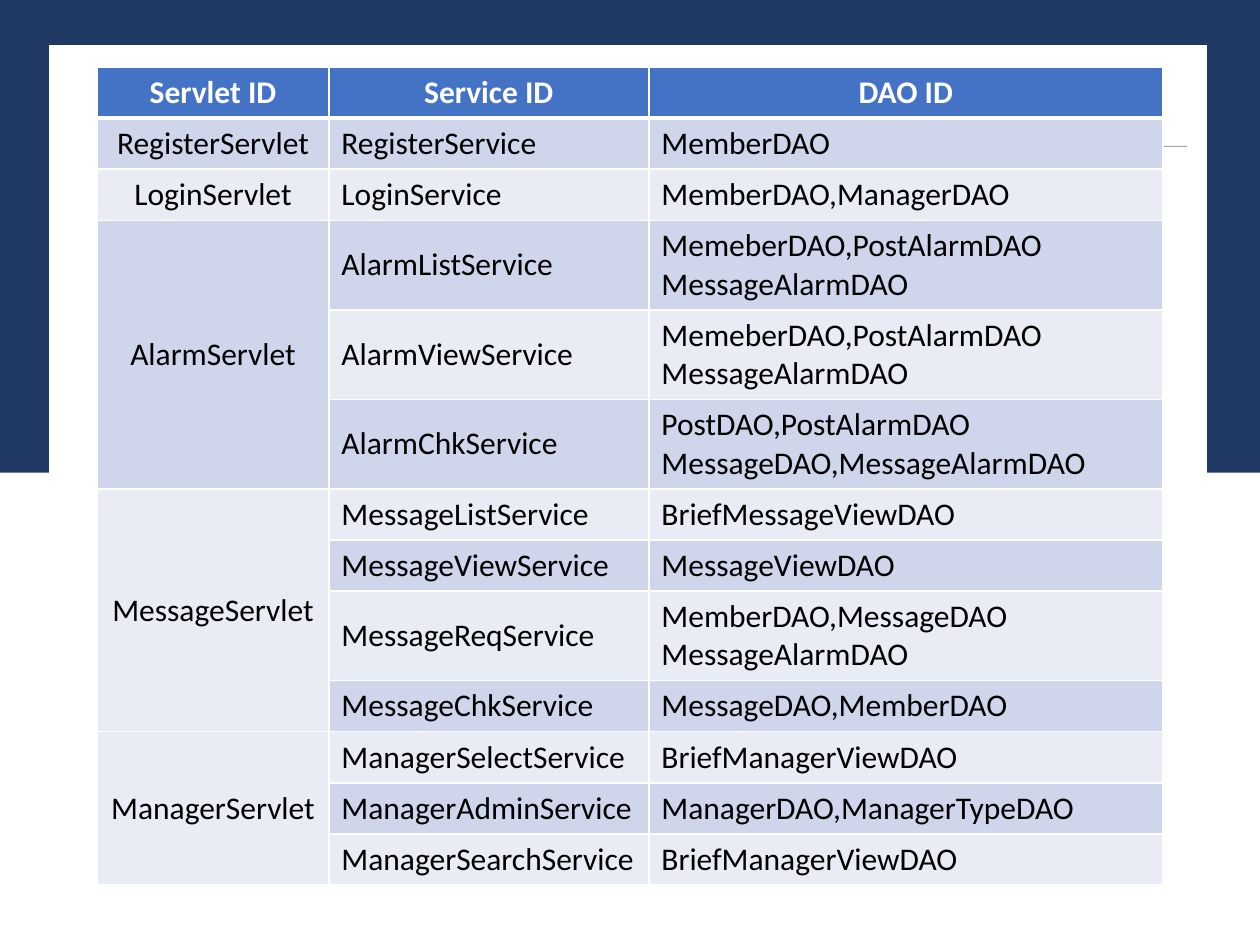
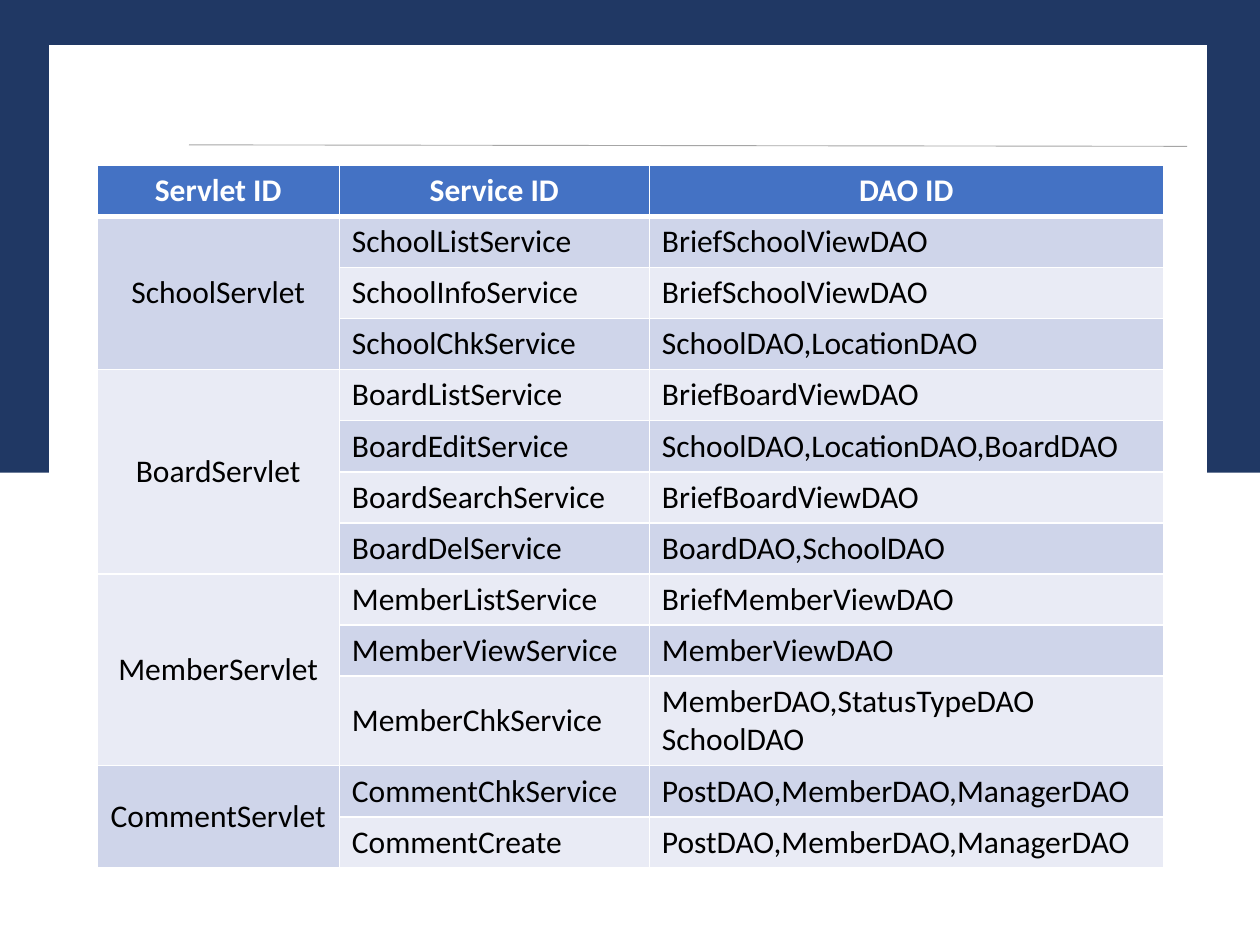
"""Build two slides that map servlets to their services and DAOs."""
from dataclasses import dataclass

from lxml import etree
from pptx import Presentation
from pptx.dml.color import RGBColor
from pptx.enum.shapes import MSO_CONNECTOR, MSO_SHAPE
from pptx.enum.text import MSO_ANCHOR, PP_ALIGN
from pptx.oxml.ns import qn
from pptx.util import Cm, Pt

RECT = MSO_SHAPE.RECTANGLE
STRAIGHT = MSO_CONNECTOR.STRAIGHT
MIDDLE = MSO_ANCHOR.MIDDLE
CENTER = PP_ALIGN.CENTER
LEFT = PP_ALIGN.LEFT

COLORS = {
    "navy": "203864",
    "white": "FFFFFF",
    "gray": "A6A6A6",
    "head": "4472C4",
    "dark": "CFD5EA",
    "light": "E9EBF5",
    "text": "000000",
}
FONT = "Calibri"
SIZE = 18
ROW = 1.03
LINE = 0.76
HEADS = ("Servlet ID", "Service ID", "DAO ID")


@dataclass(frozen=True)
class Box:
    left: float
    top: float
    width: float
    height: float
    fill: str
    edge: str = ""


@dataclass(frozen=True)
class Group:
    servlet: str
    rows: tuple[tuple[str, str], ...]


@dataclass(frozen=True)
class Page:
    top: float
    widths: tuple[float, ...]
    groups: tuple[Group, ...]


FRAME = (
    Box(0, 0, 25.4, 9.53, "navy"),
    Box(0.99, 0.91, 23.34, 17.2, "white"),
)
PATCH = Box(1.3, 1.12, 2.21, 1.8, "white", "white")

PAGES = (
    Page(1.35, (4.67, 6.45, 10.36), (
        Group("RegisterServlet", (("RegisterService", "MemberDAO"),)),
        Group("LoginServlet", (("LoginService", "MemberDAO,ManagerDAO"),)),
        Group("AlarmServlet", (
            ("AlarmListService", "MemeberDAO,PostAlarmDAO\nMessageAlarmDAO"),
            ("AlarmViewService", "MemeberDAO,PostAlarmDAO\nMessageAlarmDAO"),
            ("AlarmChkService", "PostDAO,PostAlarmDAO\nMessageDAO,MessageAlarmDAO"),
        )),
        Group("MessageServlet", (
            ("MessageListService", "BriefMessageViewDAO"),
            ("MessageViewService", "MessageViewDAO"),
            ("MessageReqService", "MemberDAO,MessageDAO\nMessageAlarmDAO"),
            ("MessageChkService", "MessageDAO,MemberDAO"),
        )),
        Group("ManagerServlet", (
            ("ManagerSelectService", "BriefManagerViewDAO"),
            ("ManagerAdminService", "ManagerDAO,ManagerTypeDAO"),
            ("ManagerSearchService", "BriefManagerViewDAO"),
        )),
    )),
    Page(3.33, (4.88, 6.25, 10.36), (
        Group("SchoolServlet", (
            ("SchoolListService", "BriefSchoolViewDAO"),
            ("SchoolInfoService", "BriefSchoolViewDAO"),
            ("SchoolChkService", "SchoolDAO,LocationDAO"),
        )),
        Group("BoardServlet", (
            ("BoardListService", "BriefBoardViewDAO"),
            ("BoardEditService", "SchoolDAO,LocationDAO,BoardDAO"),
            ("BoardSearchService", "BriefBoardViewDAO"),
            ("BoardDelService", "BoardDAO,SchoolDAO"),
        )),
        Group("MemberServlet", (
            ("MemberListService", "BriefMemberViewDAO"),
            ("MemberViewService", "MemberViewDAO"),
            ("MemberChkService", "MemberDAO,StatusTypeDAO\nSchoolDAO"),
        )),
        Group("CommentServlet", (
            ("CommentChkService", "PostDAO,MemberDAO,ManagerDAO"),
            ("CommentCreate", "PostDAO,MemberDAO,ManagerDAO"),
        )),
    )),
)


def color(name: str) -> RGBColor:
    return RGBColor.from_string(COLORS[name])


def draw_box(slide, box: Box) -> None:
    shape = slide.shapes.add_shape(
        RECT, Cm(box.left), Cm(box.top), Cm(box.width), Cm(box.height))
    shape.shadow.inherit = False
    shape.fill.solid()
    shape.fill.fore_color.rgb = color(box.fill)
    if box.edge:
        shape.line.color.rgb = color(box.edge)
        shape.line.width = Pt(1)
    else:
        shape.line.fill.background()


def draw_frame(slide) -> None:
    for box in FRAME:
        draw_box(slide, box)
    rule = slide.shapes.add_connector(
        STRAIGHT, Cm(3.81), Cm(2.92), Cm(23.93), Cm(2.95))
    rule.line.color.rgb = color("gray")
    rule.line.width = Pt(0.5)
    etree.SubElement(rule._element.spPr, qn("a:effectLst"))
    draw_box(slide, PATCH)


def set_edges(cell, top: int, base: int) -> None:
    props = cell._tc.get_or_add_tcPr()
    for side, width in (("L", 1), ("R", 1), ("T", top), ("B", base)):
        edge = etree.SubElement(props, qn(f"a:ln{side}"), w=str(Pt(width)))
        fill = etree.SubElement(edge, qn("a:solidFill"))
        etree.SubElement(fill, qn("a:srgbClr"), val=COLORS["white"])


def fill_cell(cell, text: str, row: int, col: int) -> None:
    head = row == 0
    set_edges(cell, 3 if row == 1 else 1, 3 if head else 1)
    cell.fill.solid()
    cell.fill.fore_color.rgb = color(
        "head" if head else "dark" if row % 2 else "light")
    cell.vertical_anchor = MIDDLE
    frame = cell.text_frame
    for pos, line in enumerate(text.split("\n") if text else ()):
        para = frame.add_paragraph() if pos else frame.paragraphs[0]
        para.alignment = CENTER if head or col == 0 else LEFT
        run = para.add_run()
        run.text = line
        run.font.name = FONT
        run.font.size = Pt(SIZE)
        run.font.bold = head
        run.font.color.rgb = color("white" if head else "text")


def draw_table(slide, page: Page) -> None:
    rows = [HEADS]
    spans = []
    for group in page.groups:
        first = len(rows)
        for pos, pair in enumerate(group.rows):
            rows.append(("" if pos else group.servlet, *pair))
        spans.append((first, len(rows) - 1))
    table = slide.shapes.add_table(
        len(rows), len(HEADS), Cm(1.96), Cm(page.top),
        Cm(sum(page.widths)), Cm(ROW * len(rows))).table
    for col, width in zip(table.columns, page.widths):
        col.width = Cm(width)
    for row, texts in enumerate(rows):
        table.rows[row].height = Cm(ROW + LINE * texts[-1].count("\n"))
        for col, text in enumerate(texts):
            fill_cell(table.cell(row, col), text, row, col)
    for first, last in spans:
        if last > first:
            table.cell(first, 0).merge(table.cell(last, 0))


def main() -> None:
    deck = Presentation()
    deck.slide_width, deck.slide_height = Cm(25.4), Cm(19.05)
    blank = deck.slide_layouts[6]
    for page in PAGES:
        slide = deck.slides.add_slide(blank)
        draw_frame(slide)
        draw_table(slide, page)
    deck.save("out.pptx")


if __name__ == "__main__":
    main()
